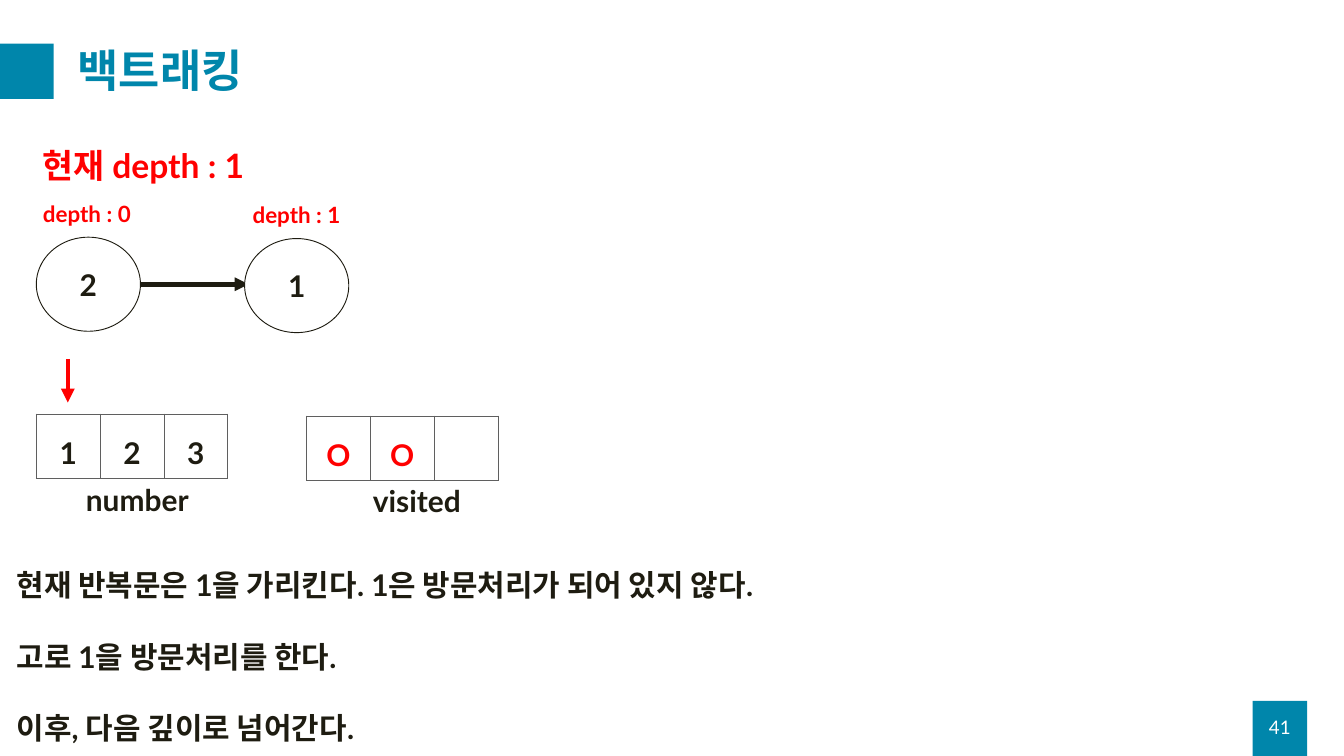
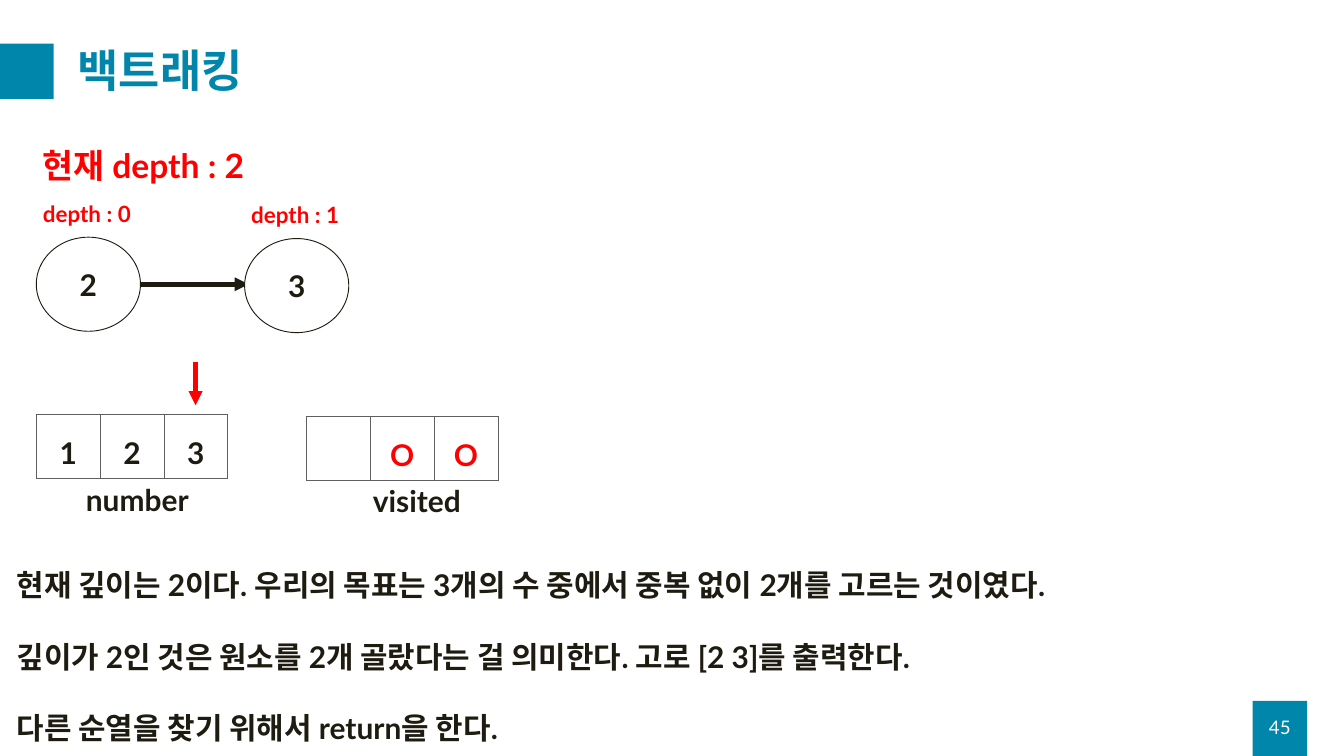
from lxml import etree
from pptx import Presentation
from pptx.dml.color import RGBColor
from pptx.enum.shapes import MSO_CONNECTOR, MSO_SHAPE
from pptx.enum.text import MSO_ANCHOR, PP_ALIGN
from pptx.oxml import parse_xml
from pptx.oxml.ns import nsdecls, qn
from pptx.util import Emu, Pt

LINE = MSO_CONNECTOR.STRAIGHT
RECT, OVAL = MSO_SHAPE.RECTANGLE, MSO_SHAPE.OVAL
TOP, MIDDLE = MSO_ANCHOR.TOP, MSO_ANCHOR.MIDDLE
LEFT, CENTER = PP_ALIGN.LEFT, PP_ALIGN.CENTER

SCALE = 9144
FONT = "Lato"
COLORS = {"teal": "0086AB", "white": "FFFFFF", "ink": "1E1C11",
          "red": "FF0000", "grid": "5F5F5F"}
CELL, CELL_H = 95, 96
NUM_X, NUM_Y = 54, 616
SEEN_X, SEEN_Y = 456, 619

STEPS = [
    {"page": "41", "depth": 1, "node": "1", "tag_x": 366, "index": 0, "arrow_y": 534,
     "seen": ["O", "O", ""],
     "notes": ["현재 반복문은 1을 가리킨다. 1은 방문처리가 되어 있지 않다.",
               "고로 1을 방문처리를 한다.",
               "이후, 다음 깊이로 넘어간다."]},
    {"page": "45", "depth": 2, "node": "3", "tag_x": 364, "index": 2, "arrow_y": 538,
     "seen": ["", "O", "O"],
     "notes": ["현재 깊이는 2이다. 우리의 목표는 3개의 수 중에서 중복 없이 2개를 고르는 것이였다.",
               "깊이가 2인 것은 원소를 2개 골랐다는 걸 의미한다. 고로 [2 3]를 출력한다.",
               "다른 순열을 찾기 위해서 return을 한다."]},
]


def px(*values):
    """Turn px lengths into EMU."""
    return [Emu(value * SCALE) for value in values]


def rgb(name):
    """Look up a named colour."""
    return RGBColor.from_string(COLORS[name])


def style(para, size, color, bold=True, align=LEFT, spacing=None):
    """Set the font and layout of one paragraph."""
    para.alignment = align
    if spacing:
        para.line_spacing = spacing
    font = para.font
    font.name, font.size, font.bold = FONT, Pt(size), bold
    font.color.rgb = rgb(color)


def add_text(slide, box, lines, size=32, color="ink", anchor=TOP, gap=0, **look):
    """Add a text box with one paragraph per line."""
    frame = slide.shapes.add_textbox(*px(*box)).text_frame
    frame.word_wrap = True
    frame.vertical_anchor = anchor
    frame.text = "\n".join(lines)
    for i, para in enumerate(frame.paragraphs):
        style(para, size, color, **look)
        if i and gap:
            para.space_before = Pt(gap)


def add_block(slide, box):
    """Add a plain teal block."""
    block = slide.shapes.add_shape(RECT, *px(*box))
    block.shadow.inherit = False
    block.fill.solid()
    block.fill.fore_color.rgb = rgb("teal")
    block.line.fill.background()


def add_node(slide, x, y, label):
    """Add a round tree node."""
    node = slide.shapes.add_shape(OVAL, *px(x, y, 155, 140))
    node.shadow.inherit = False
    node.fill.solid()
    node.fill.fore_color.rgb = rgb("white")
    node.line.color.rgb = rgb("ink")
    node.line.width = Pt(1)
    frame = node.text_frame
    frame.vertical_anchor = MIDDLE
    frame.text = label
    style(frame.paragraphs[0], 32, "ink", align=CENTER)


def add_arrow(slide, ends, color):
    """Add a thick arrow between two points."""
    arrow = slide.shapes.add_connector(LINE, *px(*ends))
    arrow.line.color.rgb = rgb(color)
    arrow.line.width = Pt(5)
    etree.SubElement(arrow.line._get_or_add_ln(), qn("a:tailEnd"), type="triangle")
    etree.SubElement(arrow._element.spPr, qn("a:effectLst"))


def add_border(cell):
    """Draw a thin line on all four sides of a cell."""
    props = cell._tc.get_or_add_tcPr()
    for side in "LRTB":
        props.append(parse_xml(
            f'<a:ln{side} {nsdecls("a")} w="{Pt(1)}"><a:solidFill>'
            f'<a:srgbClr val="{COLORS["grid"]}"/></a:solidFill></a:ln{side}>'))


def add_array(slide, x, y, values, color):
    """Add a one-row table of values."""
    box = px(x, y, CELL * len(values), CELL_H)
    table = slide.shapes.add_table(1, len(values), *box).table
    table.first_row = table.horz_banding = False
    for cell, value in zip(table.rows[0].cells, values):
        add_border(cell)
        cell.fill.solid()
        cell.fill.fore_color.rgb = rgb("white")
        cell.text = value
        style(cell.text_frame.paragraphs[0], 32, color, align=CENTER, spacing=1.5)


def add_frame(slide, page):
    """Add the shared title, blocks and page number."""
    add_block(slide, (1864, 1043, 81, 82))
    add_block(slide, (-1, 65, 81, 82))
    add_text(slide, (106, 50, 1825, 118), ["백트래킹"], 48, "teal", MIDDLE, spacing=0.9)
    add_text(slide, (1864, 1052, 81, 60), [page], 20, "white", MIDDLE,
             bold=False, align=CENTER)


def add_step(slide, step):
    """Add one step of the search."""
    add_frame(slide, step["page"])
    add_array(slide, NUM_X, NUM_Y, ["1", "2", "3"], "ink")
    add_text(slide, (118, 712, 197, 64), ["number"])
    add_array(slide, SEEN_X, SEEN_Y, step["seen"], "red")
    add_text(slide, (545, 714, 197, 64), ["visited"])
    add_text(slide, (54, 293, 155, 50), ["depth : 0"], 24, "red")
    add_text(slide, (step["tag_x"], 295, 155, 50), ["depth : 1"], 24, "red")
    add_text(slide, (15, 838, 1916, 279), step["notes"], gap=38.4)
    add_node(slide, 54, 353, "2")
    add_arrow(slide, (209, 423, 370, 423), "ink")
    add_node(slide, 364, 355, step["node"])
    x, y = NUM_X + CELL * step["index"] + CELL // 2, step["arrow_y"]
    add_arrow(slide, (x, y, x, y + 65), "red")
    add_text(slide, (54, 211, 656, 71), [f"현재 depth : {step['depth']}"], 36, "red")


def main():
    """Build and save the deck."""
    deck = Presentation()
    deck.slide_width, deck.slide_height = px(2000, 1125)
    for step in STEPS:
        add_step(deck.slides.add_slide(deck.slide_layouts[6]), step)
    deck.save("out.pptx")


if __name__ == "__main__":
    main()
